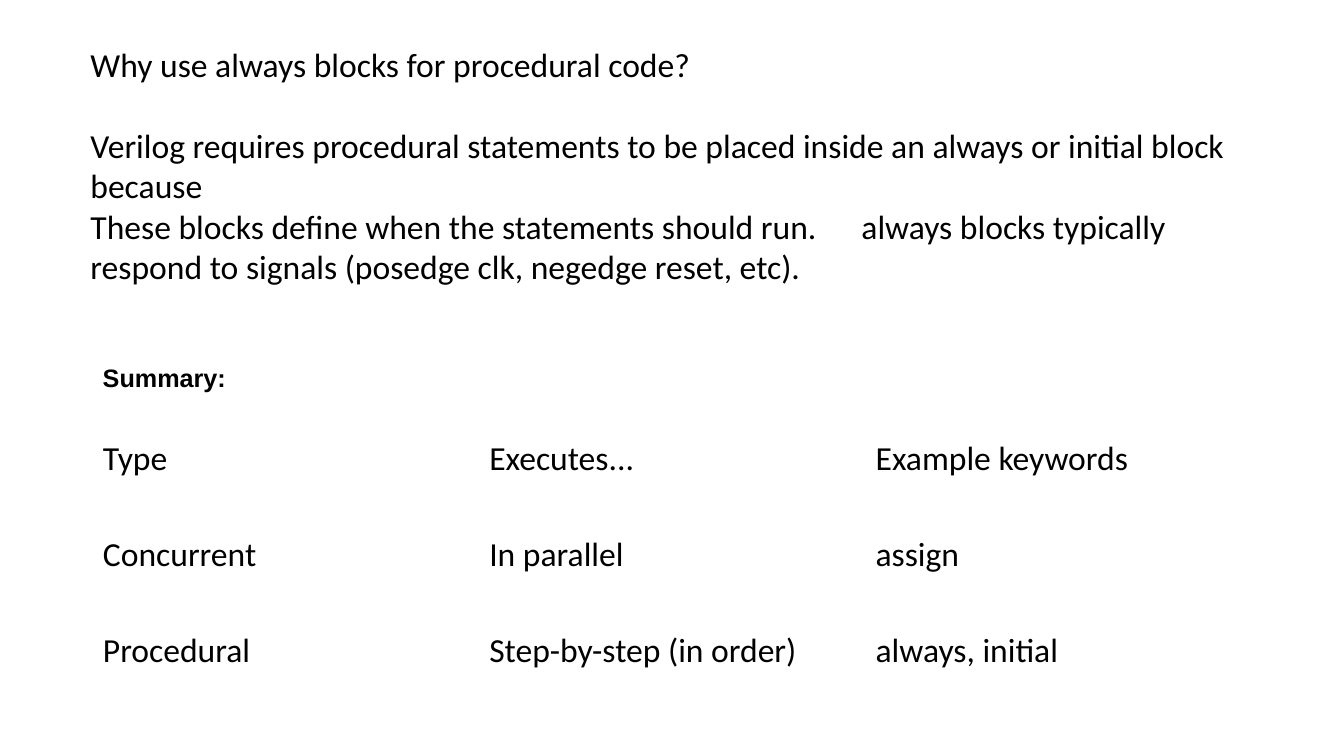
"""Build the slide on always blocks and procedural code."""
from lxml import etree
from pptx import Presentation
from pptx.dml.color import RGBColor
from pptx.enum import text
from pptx.oxml import ns
from pptx.util import Cm, Pt

BLACK = RGBColor(0, 0, 0)
WHITE = RGBColor(255, 255, 255)

EXPLANATION = [
    "Why use always blocks for procedural code?",
    "Verilog requires procedural statements to be placed inside an always "
    "or initial block because",
    "These blocks define when the statements should run.\talways blocks "
    "typically respond to signals (posedge clk, negedge reset, etc).",
]
SUMMARY = [
    ["Type", "Executes...", "Example keywords"],
    ["Concurrent", "In parallel", "assign"],
    ["Procedural", "Step-by-step (in order)", "always, initial"],
]


def style_paragraph(para, size=24, name="Calibri", bold=False):
    """Set the font of a whole paragraph."""
    font = para.font
    font.size, font.name, font.bold = Pt(size), name, bold
    font.color.rgb = BLACK


def add_text(page, left, top, width, height, lines, wrap=True, **style):
    """Add a text box with one paragraph per line and return its frame."""
    box = page.shapes.add_textbox(Cm(left), Cm(top), Cm(width), Cm(height))
    frame = box.text_frame
    frame.word_wrap = wrap
    frame.text = "\n".join(lines)
    for para in frame.paragraphs:
        style_paragraph(para, **style)
    return frame


def add_tab_stop(para, position):
    """Give a paragraph a left tab stop."""
    stops = etree.Element(ns.qn("a:tabLst"))
    etree.SubElement(stops, ns.qn("a:tab"), pos=str(position), algn="l")
    para.font
    properties = para._p.get_or_add_pPr()
    properties.find(ns.qn("a:defRPr")).addprevious(stops)


def add_table(page, left, top, width, height, rows):
    """Add a plain table with evenly sized cells."""
    table = page.shapes.add_table(
        len(rows), len(rows[0]), Cm(left), Cm(top), Cm(width), Cm(height)
    ).table
    table.first_row = table.horz_banding = False
    for row, words in enumerate(rows):
        for column, word in enumerate(words):
            cell = table.cell(row, column)
            cell.text = word
            cell.vertical_anchor = text.MSO_ANCHOR.MIDDLE
            cell.fill.solid()
            cell.fill.fore_color.rgb = WHITE
            style_paragraph(cell.text_frame.paragraphs[0])


def main():
    """Build and save the deck."""
    deck = Presentation()
    deck.slide_width, deck.slide_height = Cm(33.87), Cm(19.05)
    page = deck.slides.add_slide(deck.slide_layouts[6])

    explanation = add_text(page, 2.03, 0.97, 30.56, 13.34, EXPLANATION)
    explanation.paragraphs[0].space_after = Pt(29.3)
    add_tab_stop(explanation.paragraphs[2], Cm(19.43))

    add_table(page, 2.34, 10.36, 29.21, 7.26, SUMMARY)
    heading = add_text(page, 2.34, 8.94, 3.66, 2.57, ["Summary:"],
                       wrap=False, size=18, name="Arial", bold=True)
    heading.margin_top = Cm(0.2)

    deck.save("out.pptx")


if __name__ == "__main__":
    main()
